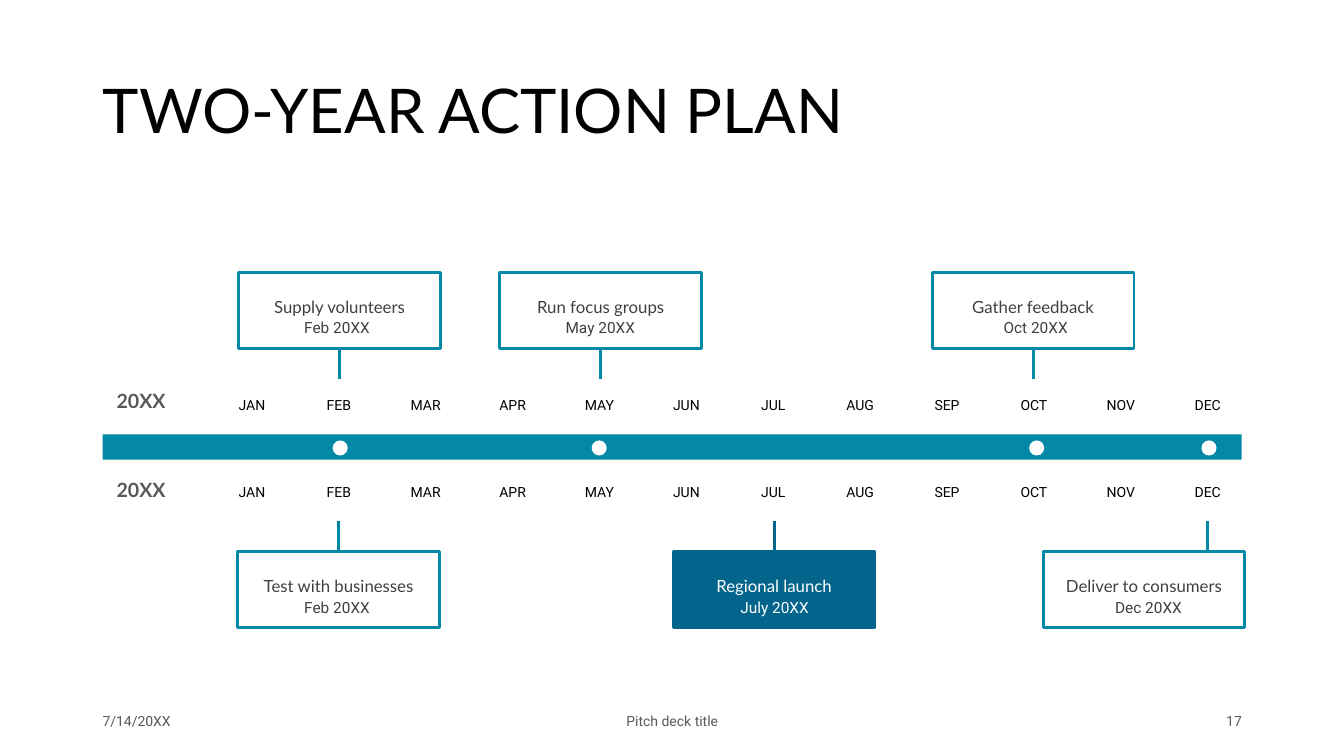
"""Builds a two-year action plan timeline slide."""
from lxml import etree
from pptx import Presentation
from pptx.dml.color import RGBColor
from pptx.enum.shapes import MSO_CONNECTOR, MSO_SHAPE
from pptx.enum.text import MSO_ANCHOR, MSO_AUTO_SIZE, PP_ALIGN
from pptx.oxml.ns import qn
from pptx.util import Pt

RECT, OVAL, STRAIGHT = MSO_SHAPE.RECTANGLE, MSO_SHAPE.OVAL, MSO_CONNECTOR.STRAIGHT
LEFT, CENTER, RIGHT = PP_ALIGN.LEFT, PP_ALIGN.CENTER, PP_ALIGN.RIGHT
TOP, MIDDLE = MSO_ANCHOR.TOP, MSO_ANCHOR.MIDDLE
NO_FIT = MSO_AUTO_SIZE.NONE

TEAL = RGBColor(0x03, 0x88, 0xA6)
NAVY = RGBColor(0x03, 0x65, 0x8C)
BLACK = RGBColor(0x00, 0x00, 0x00)
DARK = RGBColor(0x40, 0x40, 0x40)
GRAY = RGBColor(0x59, 0x59, 0x59)
WHITE = RGBColor(0xFF, 0xFF, 0xFF)

HEADING_FONT, BODY_FONT = "Lato", "Roboto"
MONTHS = "JAN FEB MAR APR MAY JUN JUL AUG SEP OCT NOV DEC".split()
MONTH_LEFT, MONTH_STEP = 154.8, 62.06
BOX_W, BOX_H, STEM = 144, 54.7, 21.6
UPPER_BOX, LOWER_BOX = 194.4, 393.8
DATE_OFFSET = 34.6
YEAR_ROWS = [(269.3, 280.8), (332.6, 343.4)]
DOT_LEFTS = [237.6, 422.6, 735.1, 858.2]

# Label, date, box left, date left, stem x, highlighted
UPPER_STEPS = [
    ("Supply volunteers", "Feb 20XX", 170.6, 174.2, 242.6, False),
    ("Run focus groups", "May 20XX", 357.1, 362.2, 429.1, False),
    ("Gather feedback", "Oct 20XX", 666, 673.2, 738, False),
]
LOWER_STEPS = [
    ("Test with businesses", "Feb 20XX", 169.9, 174.2, 241.9, False),
    ("Regional launch", "July 20XX", 481, 486.7, 553, True),
    ("Deliver to consumers", "Dec 20XX", 745.2, 753.8, 862.6, False),
]


def write(s, text, size, font, color, align=CENTER, anchor=TOP,
          spacing=0.9, insets=None, bold=False):
    """Set and format the single paragraph of a shape."""
    tf = s.text_frame
    tf.text = text
    tf.word_wrap = True
    tf.auto_size = NO_FIT
    tf.vertical_anchor = anchor
    if insets:
        tf.margin_left, tf.margin_top, tf.margin_right, tf.margin_bottom = map(Pt, insets)
    p = tf.paragraphs[0]
    p.alignment = align
    p.line_spacing = spacing
    r = p.runs[0]
    r.font.size = Pt(size)
    r.font.name = font
    r.font.bold = bold
    r.font.color.rgb = color


def add_text(slide, box, *args, **kwargs):
    """Add a text box at the given left, top, width and height."""
    write(slide.shapes.add_textbox(*map(Pt, box)), *args, **kwargs)


def add_block(slide, kind, box, fill=None, line=None):
    """Add a preset shape with optional fill and outline."""
    s = slide.shapes.add_shape(kind, *map(Pt, box))
    s.shadow.inherit = False
    if fill is None:
        s.fill.background()
    else:
        s.fill.solid()
        s.fill.fore_color.rgb = fill
    if line is None:
        s.line.fill.background()
    else:
        s.line.color.rgb = line
        s.line.width = Pt(2)
    return s


def add_stem(slide, x, top, color):
    """Add a vertical line between a milestone box and the months."""
    s = slide.shapes.add_connector(STRAIGHT, Pt(x), Pt(top), Pt(x), Pt(top + STEM))
    s.line.color.rgb = color
    s.line.width = Pt(2)
    etree.SubElement(s._element.spPr, qn("a:effectLst"))


def add_milestone(slide, step, top, stem_top):
    """Add a milestone box with its label, date and stem."""
    label, date, left, date_left, stem_x, highlighted = step
    line = NAVY if highlighted else TEAL
    color = WHITE if highlighted else DARK
    add_stem(slide, stem_x, stem_top, line)
    s = add_block(slide, RECT, (left, top, BOX_W, BOX_H), NAVY if highlighted else None, line)
    write(s, label, 12, HEADING_FONT, color, spacing=2, insets=(0, 2.9, 0, 0))
    add_text(slide, (date_left, top + DATE_OFFSET, 133.2, 18), date, 11, BODY_FONT, color,
             insets=(0, 0, 0, 0))


def add_year(slide, year_top, month_top):
    """Add a year label and its row of months."""
    add_text(slide, (72, year_top, 57.6, 36), "20XX", 14, HEADING_FONT, GRAY,
             anchor=MIDDLE, bold=True)
    for i, month in enumerate(MONTHS):
        add_text(slide, (MONTH_LEFT + i * MONTH_STEP, month_top, 50.4, 15.8),
                 month, 10, BODY_FONT, BLACK)


def add_title(slide, text):
    """Place and format the title placeholder."""
    s = slide.shapes.title
    s.left, s.top, s.width, s.height = map(Pt, (66.2, 28.8, 828, 104.4))
    write(s, text, 44, HEADING_FONT, BLACK, LEFT, MIDDLE)


def add_footer(slide):
    """Add the date, deck title and slide number."""
    for left, width, text, align in [(66.2, 216, "7/14/20XX", LEFT),
                                     (318.2, 324, "Pitch deck title", CENTER),
                                     (678.2, 216, "17", RIGHT)]:
        add_text(slide, (left, 500.4, width, 28.8), text, 10, BODY_FONT, GRAY,
                 align, MIDDLE, spacing=1)


def main():
    """Build and save the slide."""
    prs = Presentation()
    prs.slide_width, prs.slide_height = Pt(960), Pt(540)
    slide = prs.slides.add_slide(prs.slide_layouts[5])
    add_title(slide, "TWO-YEAR ACTION PLAN")
    add_block(slide, RECT, (73.4, 310.3, 813.6, 18), TEAL)
    for left in DOT_LEFTS:
        add_block(slide, OVAL, (left, 314.6, 10.8, 10.8), WHITE)
    for year_top, month_top in YEAR_ROWS:
        add_year(slide, year_top, month_top)
    for step in UPPER_STEPS:
        add_milestone(slide, step, UPPER_BOX, UPPER_BOX + BOX_H)
    for step in LOWER_STEPS:
        add_milestone(slide, step, LOWER_BOX, LOWER_BOX - STEM)
    add_footer(slide)
    prs.save("out.pptx")


if __name__ == "__main__":
    main()
